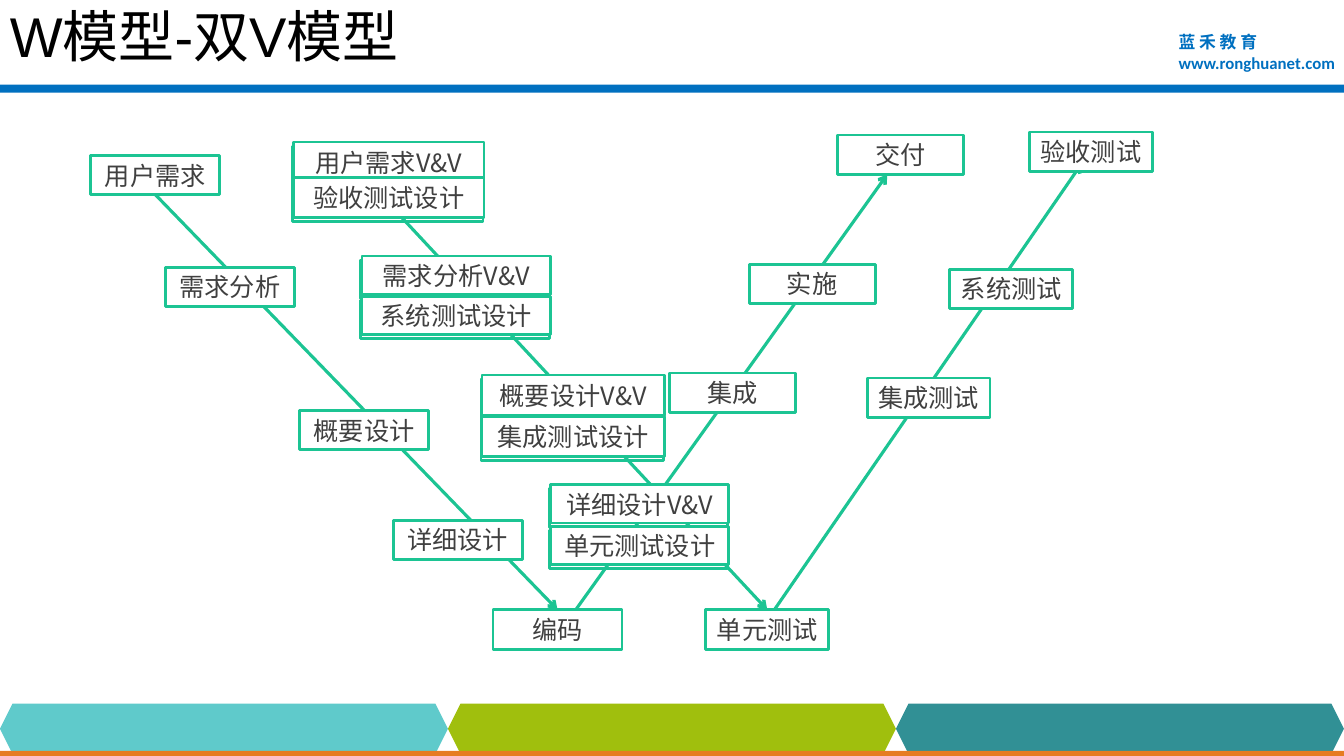
from dataclasses import dataclass

import pptx
import pptx.dml.color
import pptx.enum.shapes
import pptx.enum.text
import pptx.oxml
import pptx.oxml.ns
import pptx.util
from pptx.util import Inches


@dataclass(frozen=True)
class Theme:
    """Colours, fonts and type sizes of the slide."""
    blue: str = "0070C0"
    green: str = "1CC493"
    white: str = "FFFFFF"
    black: str = "000000"
    grey: str = "404040"
    orange: str = "E67C22"
    footer: tuple = ("5FCACB", "A0BF0D", "319095")
    latin: str = "Arial"
    web: str = "Calibri"
    chinese: str = "Noto Sans CJK SC"
    title_size: int = 40
    label_size: int = 18
    brand_size: int = 12
    outline: float = 2
    arrow: float = 2.25


@dataclass(frozen=True)
class Box:
    """A region in inches."""
    left: float
    top: float
    width: float
    height: float

    def inner(self, left, top, width, height):
        """Return a box placed relative to this one."""
        return Box(self.left + left, self.top + top, width, height)

    def lengths(self):
        """Return the four lengths for python-pptx."""
        return [Inches(value) for value in (self.left, self.top, self.width, self.height)]


THEME = Theme()
PRESET = pptx.enum.shapes.MSO_SHAPE
DEVELOPMENT = [
    ("用户需求", 0, 0.24), ("需求分析", 0.74, 1.35), ("概要设计", 2.07, 2.77),
    ("详细设计", 3, 3.86), ("编码", 3.99, 4.75),
]
DELIVERY = [("交付", 7.41, 0.04), ("实施", 6.53, 1.32), ("集成", 5.74, 2.4)]
TESTING = [
    ("单元测试", 6.1, 4.75), ("验收测试", 9.31, 0.01),
    ("系统测试", 8.52, 1.37), ("集成测试", 7.7, 2.45),
]
REVIEWS = [
    ("用户需求V&V", "验收测试设计", 2.01, 0.11, 1.89, 0.4, 0.35),
    ("需求分析V&V", "系统测试设计", 2.69, 1.24, 1.87, 0.38, 0.4),
    ("概要设计V&V", "集成测试设计", 3.88, 2.42, 1.81, 0.4, 0.41),
    ("详细设计V&V", "单元测试设计", 4.56, 3.51, 1.77, 0.38, 0.41),
]


def colour(value):
    """Turn a hex string into a colour."""
    return pptx.dml.color.RGBColor.from_string(value)


def style_text(paragraph, size, value, latin, bold=False):
    """Format every run of a paragraph."""
    for run in paragraph.runs:
        run.font.size = pptx.util.Pt(size)
        run.font.bold = bold
        run.font.color.rgb = colour(value)
        run.font.name = latin
        east_asian = pptx.oxml.parse_xml(
            f'<a:ea {pptx.oxml.ns.nsdecls("a")} typeface="{THEME.chinese}"/>')
        run.font._element.find(pptx.oxml.ns.qn("a:latin")).addnext(east_asian)


def add_block(slide, box, fill, preset=PRESET.RECTANGLE):
    """Add a plain filled shape."""
    shape = slide.shapes.add_shape(preset, *box.lengths())
    shape.shadow.inherit = False
    shape.fill.solid()
    shape.fill.fore_color.rgb = colour(fill)
    shape.line.fill.background()
    return shape


def add_step(slide, box, label=""):
    """Add an outlined step with a centred label."""
    shape = add_block(slide, box, THEME.white)
    shape.line.color.rgb = colour(THEME.green)
    shape.line.width = pptx.util.Pt(THEME.outline)
    frame = shape.text_frame
    frame.margin_left = frame.margin_right = frame.margin_top = frame.margin_bottom = 0
    frame.vertical_anchor = pptx.enum.text.MSO_ANCHOR.MIDDLE
    frame.text = label
    frame.paragraphs[0].alignment = pptx.enum.text.PP_ALIGN.CENTER
    style_text(frame.paragraphs[0], THEME.label_size, THEME.grey, THEME.chinese)
    return shape


def add_steps(slide, area, steps, width):
    """Add equal-sized steps and return them by label."""
    return {label: add_step(slide, area.inner(left, top, width, 0.39), label)
            for label, left, top in steps}


def add_arrow(slide, area, start, end):
    """Add a straight arrow between two points of the area."""
    points = [Inches(value) for left, top in (start, end)
              for value in (area.left + left, area.top + top)]
    connector = slide.shapes.add_connector(
        pptx.enum.shapes.MSO_CONNECTOR.STRAIGHT, *points)
    connector.line.color.rgb = colour(THEME.green)
    connector.line.width = pptx.util.Pt(THEME.arrow)
    namespace = pptx.oxml.ns.nsdecls("a")
    connector.line._get_or_add_ln().append(
        pptx.oxml.parse_xml(f'<a:tailEnd {namespace} type="arrow"/>'))
    connector._element.spPr.append(pptx.oxml.parse_xml(f"<a:effectLst {namespace}/>"))
    return connector


def draw_header(slide, box):
    """Draw the title, the school name and the rule."""
    add_block(slide, box.inner(0, 0.84, box.width, 0.08), THEME.blue)
    frame = slide.shapes.add_textbox(*box.inner(11.59, 0.27, 1.82, 0.5).lengths()).text_frame
    frame.word_wrap = True
    frame.text = "蓝 禾 教 育\nwww.ronghuanet.com"
    for paragraph, latin in zip(frame.paragraphs, (THEME.chinese, THEME.web)):
        style_text(paragraph, THEME.brand_size, THEME.blue, latin, True)
    frame = slide.shapes.add_textbox(*box.inner(0, 0, 10, 0.7).lengths()).text_frame
    frame.word_wrap = True
    frame.vertical_anchor = pptx.enum.text.MSO_ANCHOR.MIDDLE
    frame.text = "W模型-双V模型"
    style_text(frame.paragraphs[0], THEME.title_size, THEME.black, THEME.latin)


def draw_footer(slide, box):
    """Draw three hexagons over an orange strip."""
    width = box.width / len(THEME.footer)
    for index, fill in enumerate(THEME.footer):
        add_block(slide, box.inner(index * width, 0, width, 0.5), fill, PRESET.HEXAGON)
    add_block(slide, box.inner(0, 0.47, box.width, 0.08), THEME.orange)


def draw_reviews(slide, area, labelled):
    """Draw the paired review and test design steps."""
    for review, design, left, top, width, height, step in REVIEWS:
        for row, label in enumerate((review, design)):
            box = area.inner(left, top + row * step, width, height)
            add_step(slide, box, label if labelled else "")


def draw_model(slide, area):
    """Draw the development V and the testing V."""
    draw_reviews(slide, area.inner(-0.01, 0.04, area.width, area.height), False)
    descent = add_arrow(slide, area, (0.64, 0.63), (4.63, 4.75))
    add_arrow(slide, area, (4.81, 4.75), (7.9, 0.43))
    development = add_steps(slide, area, DEVELOPMENT, 1.28)
    add_steps(slide, area, DELIVERY, 1.25)
    descent.begin_connect(development["用户需求"], 2)
    descent.end_connect(development["编码"], 0)
    verification = add_arrow(slide, area, (2.77, 0.52), (6.7, 4.75))
    add_arrow(slide, area, (6.78, 4.75), (9.83, 0.32))
    testing = add_steps(slide, area, TESTING, 1.22)
    verification.end_connect(testing["单元测试"], 0)
    draw_reviews(slide, area, True)


def main():
    """Build and save the presentation."""
    presentation = pptx.Presentation()
    presentation.slide_width = Inches(13.33)
    presentation.slide_height = Inches(7.5)
    slide = presentation.slides.add_slide(presentation.slide_layouts[6])
    draw_header(slide, Box(0, 0, 13.33, 0.92))
    draw_footer(slide, Box(0, 6.98, 13.33, 0.52))
    draw_model(slide, Box(0.9, 1.3, 10.53, 5.14))
    presentation.save("out.pptx")


if __name__ == "__main__":
    main()
